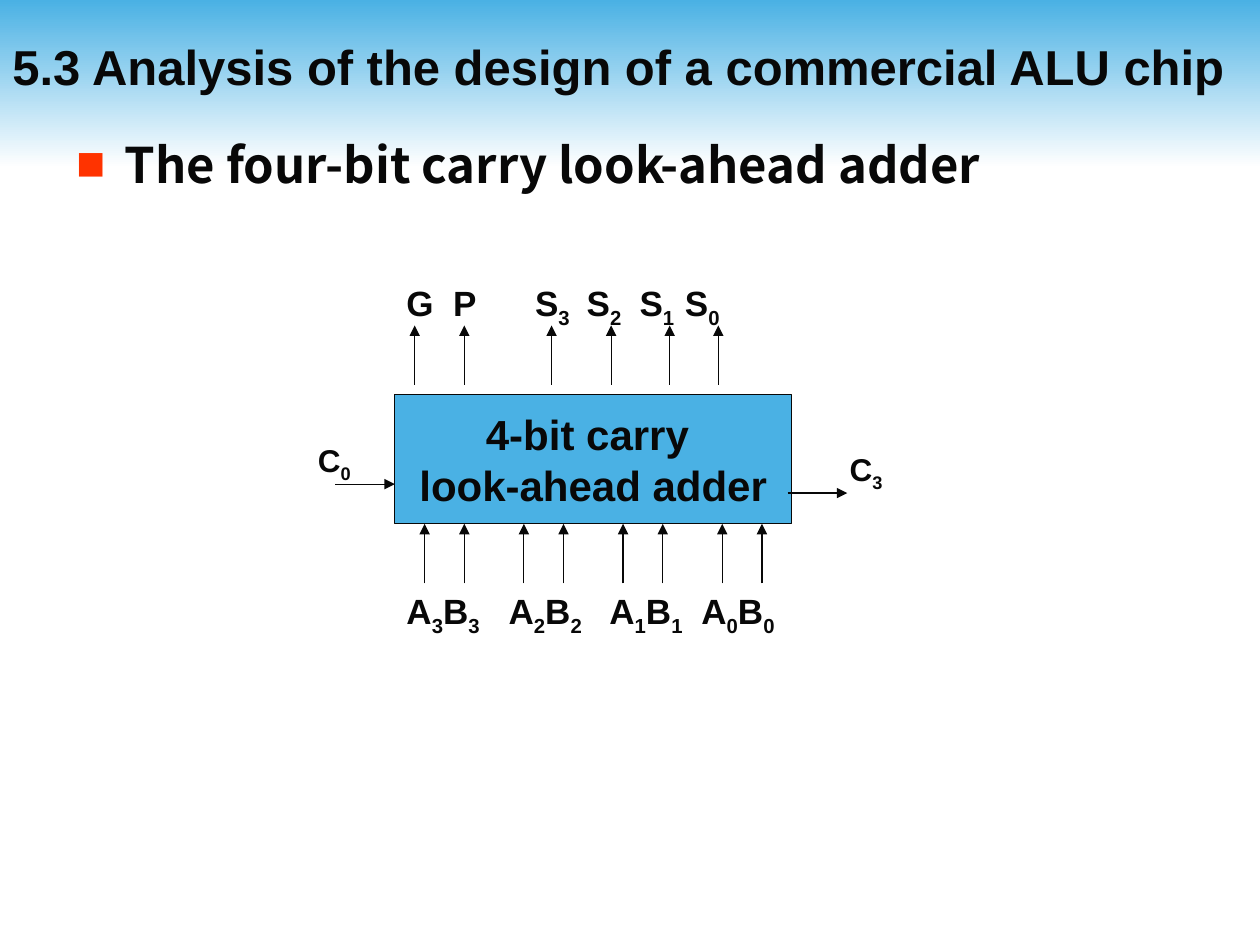
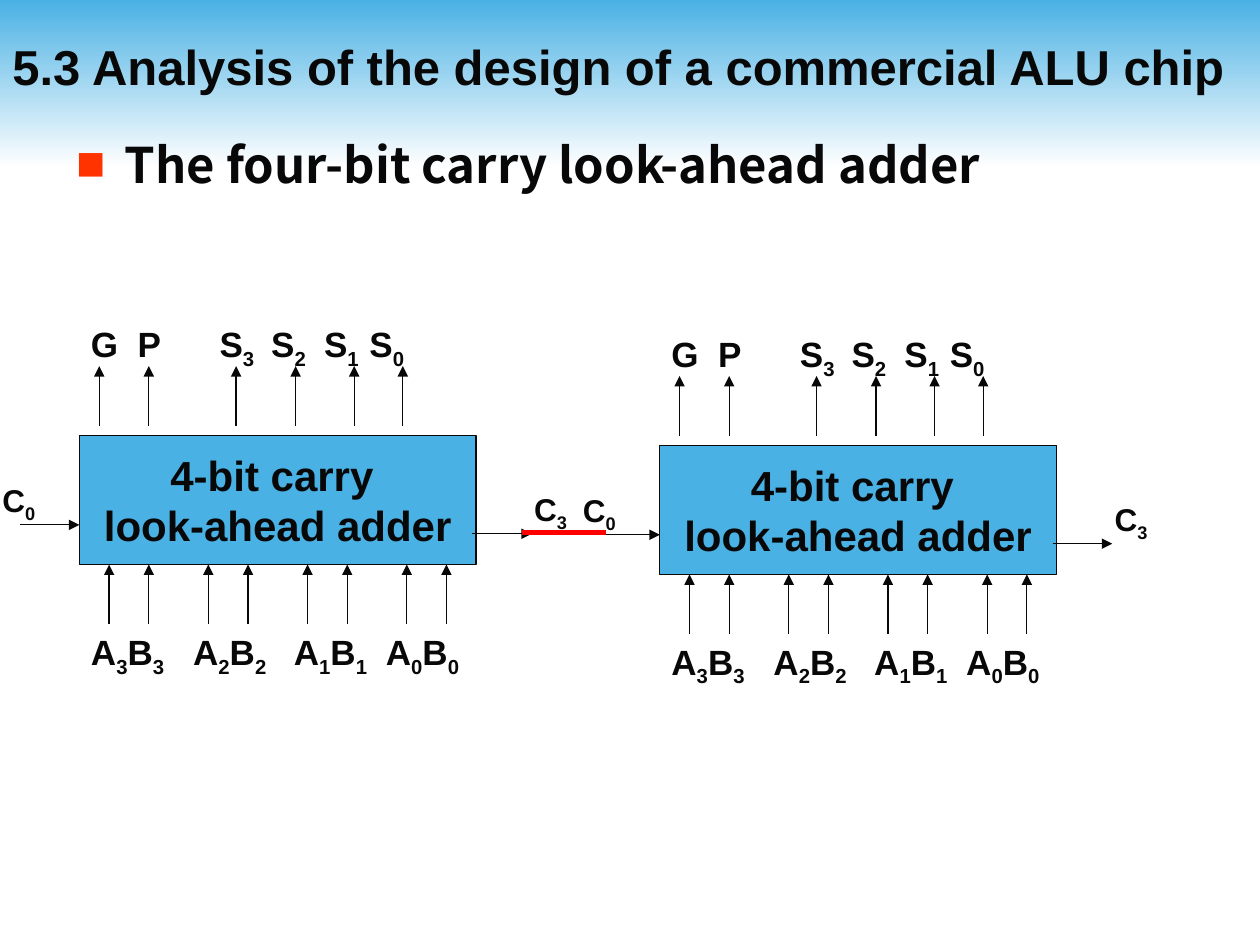
from dataclasses import dataclass
from pptx import Presentation
from pptx.dml.color import RGBColor
from pptx.enum.shapes import MSO_CONNECTOR as Conn, MSO_SHAPE as Preset
from pptx.enum.text import MSO_ANCHOR as Anchor, PP_ALIGN as Align
from pptx.oxml.ns import qn
from pptx.util import Inches, Mm, Pt
from lxml.etree import SubElement as Sub

INK = RGBColor(0x08, 0x08, 0x08)
SKY = RGBColor(0x4A, 0xB1, 0xE4)
WHITE = RGBColor(0xFF, 0xFF, 0xFF)
RED = RGBColor(0xFF, 0x00, 0x00)
ORANGE = RGBColor(0xFF, 0x33, 0x00)
SANS, NOTO = "Arial", "Noto Sans CJK JP"

COLS = 127  # the slide is 127 grid columns of 2 mm wide
TITLE = "5.3 Analysis of the design of a commercial ALU chip"
TOPIC = "The four-bit carry look-ahead adder"
WIDE, HIGH = 40, 13  # adder block
STEM = 6  # arrow length


@dataclass(frozen=True)
class Area:
    x: float
    y: float
    w: float
    h: float

    def emu(self) -> tuple:
        return tuple(grid(n) for n in (self.x, self.y, self.w, self.h))


@dataclass(frozen=True)
class Label:
    """Pin text placed relative to the adder block."""
    text: str
    area: Area
    size: int
    inset: float = 0.1
    tabs: tuple = ()


@dataclass(frozen=True)
class Arrow:
    x: float
    y: float
    dx: float = 0
    dy: float = 0


LABELS = (
    Label("G\tP\tS_3\tS_2\tS_1\tS_0", Area(-2, -12, 38.6, 6.1), 20, 0.25,
          (0.37, 1.02, 1.43, 1.85, 2.21)),
    Label("A_3B_3\tA_2B_2\tA_1B_1\tA_0B_0", Area(-2, 19, 44.5, 6.1), 20, 0.25,
          (0.81, 1.61, 2.34)),
    Label("C_0", Area(-9, 4, 7, 5.6), 18),
    Label("C_3", Area(44.6, 4.9, 7, 5.6), 18),
)
ARROWS = (
    *(Arrow(x, -1, dy=-STEM) for x in (2, 7, 15.8, 21.8, 27.7, 32.6)),
    *(Arrow(10 * pair + x, HIGH + STEM, dy=-STEM)
      for pair in range(4) for x in (3, 7)),
    Arrow(-STEM, 9, dx=STEM),
    Arrow(39.6, 9.9, dx=STEM),
)


def grid(n: float) -> int:
    return Mm(2 * n)


def write(frame, text: str, *, size: float, font: str = SANS, align=Align.LEFT,
          anchor=Anchor.TOP, wrap: bool = True, left: float = 0.1,
          top: float = 0.05, tabs: tuple = (), bullet: str = "") -> None:
    """Fill a frame; the character after an underscore is a subscript."""
    frame.word_wrap, frame.vertical_anchor = wrap, anchor
    frame.margin_left, frame.margin_right = Inches(left), Inches(0.1)
    frame.margin_top, frame.margin_bottom = Inches(top), Inches(0.05)
    for i, line in enumerate(text.split("\n")):
        para = frame.add_paragraph() if i else frame.paragraphs[0]
        para.alignment = align
        props = para._p.get_or_add_pPr()
        if bullet:
            mark(props, bullet, font)
        if tabs:
            stops = Sub(props, qn("a:tabLst"))
            for stop in tabs:
                Sub(stops, qn("a:tab"), pos=str(Inches(stop)), algn="l")
        first, *rest = line.split("_")
        parts = [(first, False)]
        for piece in rest:
            parts += [(piece[0], True), (piece[1:], False)]
        for part, low in parts:
            if not part:
                continue
            run = para.add_run()
            run.text = part
            run.font.name, run.font.size, run.font.bold = font, Pt(size), True
            run.font.color.rgb = INK
            props = run._r.get_or_add_rPr()
            Sub(props, qn("a:ea"), typeface=font)
            if low:
                props.set("baseline", "-25000")


def mark(props, sign: str, font: str) -> None:
    """Add a hanging bullet to paragraph properties."""
    props.set("marL", str(Inches(0.38)))
    props.set("indent", str(-Inches(0.38)))
    Sub(Sub(props, qn("a:buClr")), qn("a:srgbClr"), val=str(ORANGE))
    Sub(props, qn("a:buSzPct"), val="60000")
    Sub(props, qn("a:buFont"), typeface=font)
    Sub(props, qn("a:buChar"), char=sign)


def add_text(shapes, area: Area, text: str, **style) -> None:
    write(shapes.add_textbox(*area.emu()).text_frame, text, **style)


def add_rect(shapes, area: Area):
    rect = shapes.add_shape(Preset.RECTANGLE, *area.emu())
    rect.shadow.inherit = False
    return rect


def add_line(shapes, x: float, y: float, dx: float, dy: float, *,
             color: RGBColor = INK, width: float = 0.75,
             head: bool = True) -> None:
    line = shapes.add_connector(Conn.STRAIGHT, grid(x), grid(y),
                                grid(x + dx), grid(y + dy))
    line.line.color.rgb, line.line.width = color, Pt(width)
    if head:
        Sub(line.line._get_or_add_ln(), qn("a:tailEnd"), type="triangle")
    Sub(line._element.spPr, qn("a:effectLst"))


def add_adder(slide, x: float, y: float) -> None:
    """Draw the adder block with its pins, top left corner at x, y."""
    shapes = slide.shapes.add_group_shape().shapes
    block = add_rect(shapes, Area(x, y, WIDE, HIGH))
    block.fill.solid()
    block.fill.fore_color.rgb = SKY
    block.line.color.rgb, block.line.width = INK, Pt(0.75)
    write(block.text_frame, "4-bit carry \nlook-ahead adder", size=24,
          align=Align.CENTER, anchor=Anchor.MIDDLE, wrap=False)
    for arrow in ARROWS:
        add_line(shapes, x + arrow.x, y + arrow.y, arrow.dx, arrow.dy)
    for label in LABELS:
        area = label.area
        add_text(shapes, Area(x + area.x, y + area.y, area.w, area.h),
                 label.text, size=label.size, left=label.inset,
                 tabs=label.tabs)


def add_page(deck):
    """Add a slide with the shared band, title and topic."""
    slide = deck.slides.add_slide(deck.slide_layouts[6])
    band = add_rect(slide.shapes, Area(0, 0, COLS, 16.9))
    band.line.fill.background()
    band.fill.gradient()
    band.fill.gradient_angle = 270
    for stop, color, place in zip(band.fill.gradient_stops, (SKY, WHITE), (0, 1)):
        stop.color.rgb, stop.position = color, place
    add_text(slide.shapes, Area(6.5, 13.6, 112, 76), TOPIC, size=28,
             font=NOTO, top=0, bullet="■")
    add_text(slide.shapes, Area(0, 0.65, COLS, 12), TITLE, size=28,
             anchor=Anchor.MIDDLE)
    return slide


def main() -> None:
    deck = Presentation()
    deck.slide_width, deck.slide_height = Inches(10), Inches(7.5)

    add_adder(add_page(deck), 39.8, 39.8)

    chain = add_page(deck)
    add_adder(chain, 8, 43.9)
    add_adder(chain, 66.5, 44.9)
    add_line(chain.shapes, 52.6, 53.7, 8.5, 0, color=RED, width=3, head=False)

    deck.save("out.pptx")


if __name__ == "__main__":
    main()
